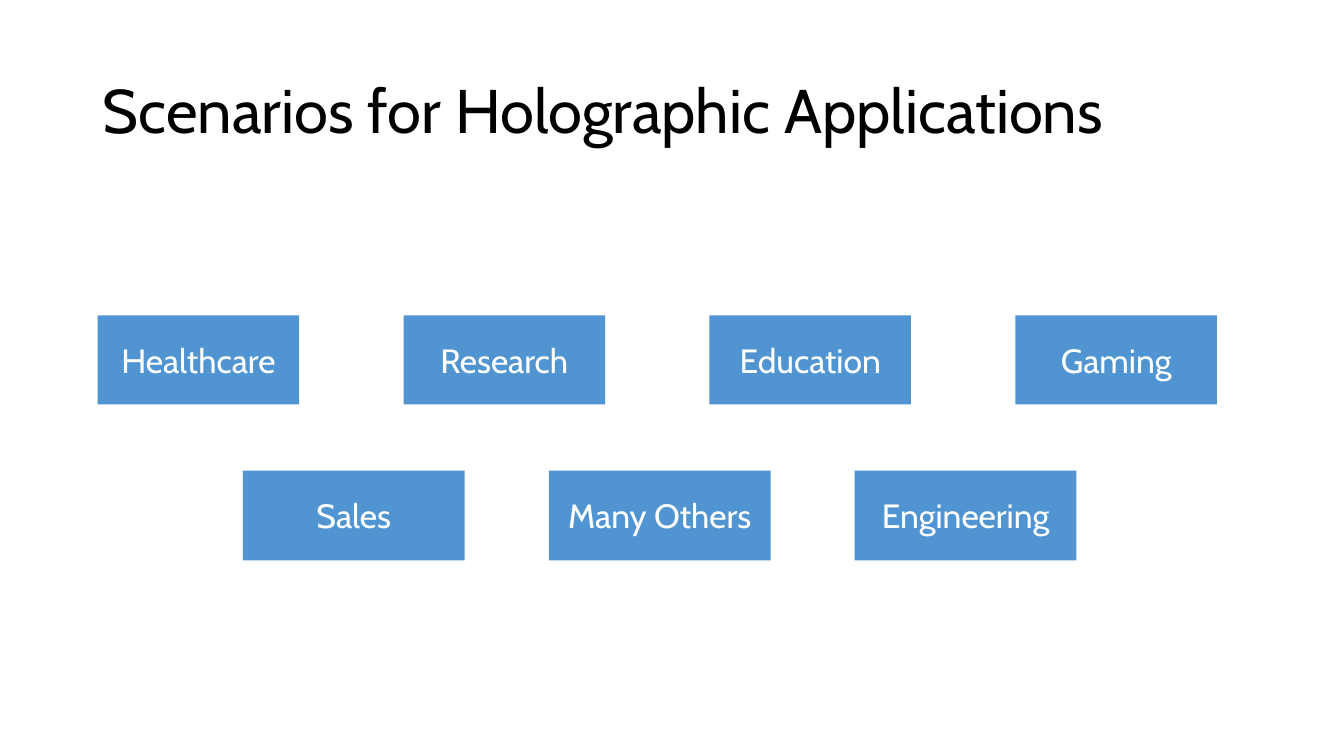
from pptx import Presentation
from pptx.dml.color import RGBColor
from pptx.enum.shapes import MSO_SHAPE
from pptx.enum.text import MSO_ANCHOR, PP_ALIGN
from pptx.util import Cm, Pt

COLOURS = {"title": "000000", "tile": "5095D1", "label": "FFFFFF"}
FONT = "Cabin"
FRAME_FORMAT = {
    "word_wrap": True,
    "vertical_anchor": MSO_ANCHOR.MIDDLE,
    "margin_left": Cm(0.25),
    "margin_right": Cm(0.25),
    "margin_top": Cm(0.13),
    "margin_bottom": Cm(0.13),
}
TITLE_FORMAT = {"alignment": PP_ALIGN.LEFT, "line_spacing": 0.9}
LABEL_FORMAT = {"alignment": PP_ALIGN.CENTER}

TITLE_BOX = (2.34, 1.02, 29.21, 3.68)
# Row box (left, top, width, height), tile width, scenarios from left to right
SCENARIO_ROWS = [
    ((2.46, 7.95, 28.21, 2.24), 5.08,
     ["Healthcare", "Research", "Education", "Gaming"]),
    ((6.12, 11.86, 21.01, 2.26), 5.59,
     ["Sales", "Many Others", "Engineering"]),
]


def apply_format(target, values):
    for attribute, value in values.items():
        setattr(target, attribute, value)


def write_text(frame, wording, size, colour, paragraph_format):
    apply_format(frame, FRAME_FORMAT)
    paragraph = frame.paragraphs[0]
    apply_format(paragraph, paragraph_format)
    run = paragraph.add_run()
    run.text = wording
    apply_format(run.font, {"name": FONT, "size": Pt(size)})
    run.font.color.rgb = RGBColor.from_string(COLOURS[colour])


def add_title(slide, box, wording):
    title = slide.shapes.add_textbox(*map(Cm, box))
    write_text(title.text_frame, wording, 44, "title", TITLE_FORMAT)


def add_scenario_row(slide, box, tile_width, scenarios):
    """Spread equal tiles over the box, flush with both of its ends."""
    left, top, width, height = box
    pitch = (width - tile_width) / (len(scenarios) - 1)
    for column, scenario in enumerate(scenarios):
        tile = slide.shapes.add_shape(
            MSO_SHAPE.RECTANGLE,
            Cm(left + column * pitch), Cm(top), Cm(tile_width), Cm(height))
        tile.shadow.inherit = False
        tile.fill.solid()
        tile.fill.fore_color.rgb = RGBColor.from_string(COLOURS["tile"])
        tile.line.fill.background()
        write_text(tile.text_frame, scenario, 24, "label", LABEL_FORMAT)


def main():
    deck = Presentation()
    apply_format(deck, {"slide_width": Cm(33.87), "slide_height": Cm(19.05)})
    slide = deck.slides.add_slide(deck.slide_layouts[6])
    add_title(slide, TITLE_BOX, "Scenarios for Holographic Applications")
    for box, tile_width, scenarios in SCENARIO_ROWS:
        add_scenario_row(slide, box, tile_width, scenarios)
    deck.save("out.pptx")


if __name__ == "__main__":
    main()
